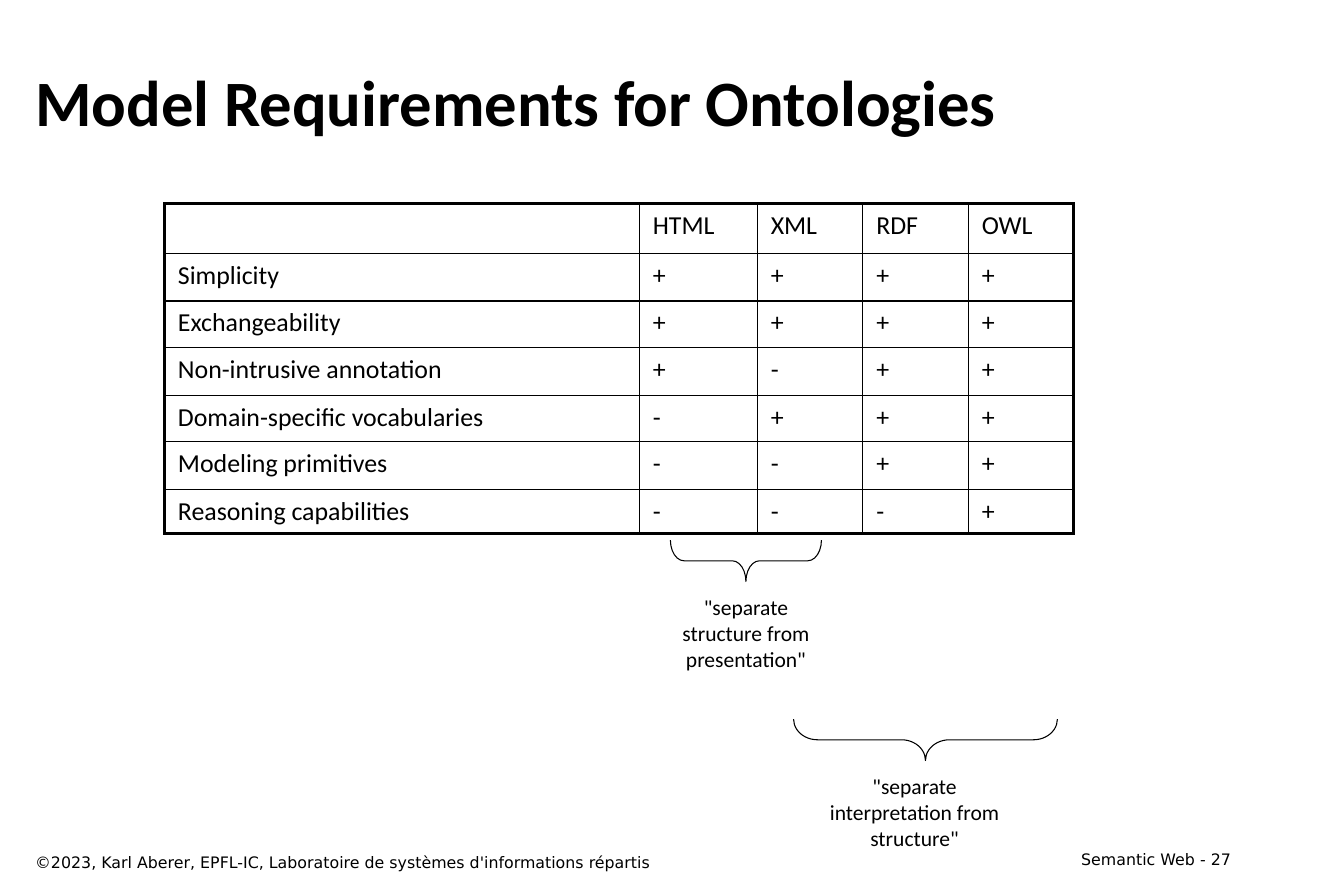
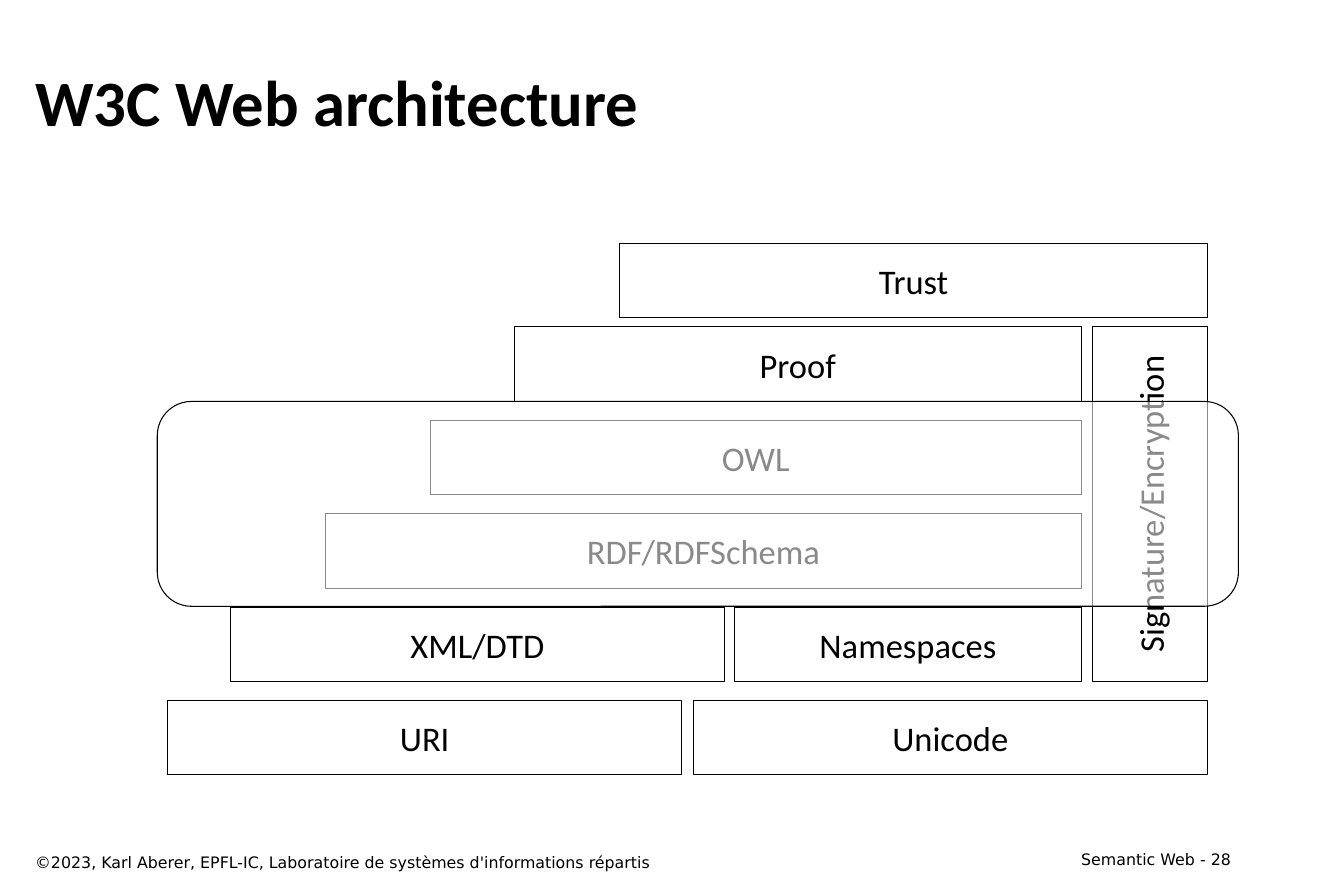
from dataclasses import dataclass

from lxml.etree import SubElement
from pptx import Presentation
from pptx.dml.color import RGBColor
from pptx.enum.shapes import MSO_SHAPE
from pptx.enum.text import MSO_ANCHOR, PP_ALIGN
from pptx.oxml.ns import qn
from pptx.util import Inches, Pt


@dataclass(frozen=True)
class Theme:
    ink: str = "000000"
    paper: str = "FFFFFF"
    panel_opacity: int = 54
    body_font: str = "Calibri"
    footer_font: str = "DejaVu Sans"
    title_size: int = 45
    block_size: int = 24
    table_size: int = 18
    note_size: int = 15
    footer_size: int = 11
    outline: float = 0.75
    inner_border: float = 1
    outer_border: float = 2.25


THEME = Theme()
INK = RGBColor.from_string(THEME.ink)
PAPER = RGBColor.from_string(THEME.paper)
COPYRIGHT = "©2023, Karl Aberer, EPFL-IC, Laboratoire de systèmes d'informations répartis"


def margins(horizontal, vertical):
    return {
        "margin_left": Inches(horizontal),
        "margin_right": Inches(horizontal),
        "margin_top": Inches(vertical),
        "margin_bottom": Inches(vertical),
    }


def apply_format(target, values):
    for name, value in values.items():
        setattr(target, name, value)


class Deck:
    def __init__(self, width, height):
        self.presentation = Presentation()
        self.presentation.slide_width = Inches(width)
        self.presentation.slide_height = Inches(height)
        self.slide = None

    def add_slide(self, title, number):
        self.slide = self.presentation.slides.add_slide(self.presentation.slide_layouts[6])
        footer = {"size": THEME.footer_size, "font": THEME.footer_font}
        self.text(f"Semantic Web - {number}", 9.31, 8.15, 2.71, 0.29,
                  alignment=PP_ALIGN.RIGHT, **footer)
        self.text(COPYRIGHT, 0.22, 8.18, 8.34, 0.29, **footer)
        self.text(title, 0.22, 0.39, 11.8, 1.16, size=THEME.title_size, bold=True,
                  frame_format={"vertical_anchor": MSO_ANCHOR.MIDDLE})

    def fill_text(self, frame, text, size, font=THEME.body_font, bold=False,
                  alignment=PP_ALIGN.LEFT):
        paragraph = frame.paragraphs[0]
        paragraph.text = text
        paragraph.alignment = alignment
        for run in paragraph.runs:
            apply_format(run.font, {"name": font, "size": Pt(size), "bold": bold})
            run.font.color.rgb = INK
        for line_break in paragraph._p.findall(qn("a:br")):
            SubElement(line_break, qn("a:rPr"), sz=str(size * 100))

    def text(self, text, left, top, width, height, frame_format=None, **style):
        shape = self.slide.shapes.add_textbox(
            Inches(left), Inches(top), Inches(width), Inches(height))
        apply_format(shape.text_frame, {
            "word_wrap": True, **margins(0.12, 0.06), **(frame_format or {})})
        self.fill_text(shape.text_frame, text, **style)

    def shape(self, kind, left, top, width, height, filled=True):
        shape = self.slide.shapes.add_shape(
            kind, Inches(left), Inches(top), Inches(width), Inches(height))
        shape.shadow.inherit = False
        shape.line.color.rgb = INK
        shape.line.width = Pt(THEME.outline)
        if filled:
            shape.fill.solid()
            shape.fill.fore_color.rgb = PAPER
        else:
            shape.fill.background()
        return shape

    def block(self, text, left, top, right, bottom, vertical=False):
        shape = self.shape(MSO_SHAPE.RECTANGLE, left, top, right - left, bottom - top)
        apply_format(shape.text_frame, {
            "word_wrap": True, "vertical_anchor": MSO_ANCHOR.MIDDLE, **margins(0.12, 0.06)})
        if vertical:
            shape.element.txBody.bodyPr.set("vert", "vert270")
        self.fill_text(shape.text_frame, text, THEME.block_size, alignment=PP_ALIGN.CENTER)

    def panel(self, left, top, width, height):
        shape = self.shape(MSO_SHAPE.ROUNDED_RECTANGLE, left, top, width, height)
        color = shape.element.spPr.find(qn("a:solidFill")).find(qn("a:srgbClr"))
        SubElement(color, qn("a:alpha"), val=str(THEME.panel_opacity * 1000))

    def brace(self, left, top, span, curve, depth=0.4):
        shape = self.shape(MSO_SHAPE.LEFT_BRACE, left + (span - depth) / 2,
                           top + (depth - span) / 2, depth, span, filled=False)
        shape.rotation = 270
        shape.adjustments[0] = curve

    def note(self, text, left, top, width, height):
        self.text(text, left, top, width, height, size=THEME.note_size,
                  alignment=PP_ALIGN.CENTER,
                  frame_format={"word_wrap": False, **margins(0.1, 0.05)})

    def table(self, rows, left, top, widths, heights):
        table = self.slide.shapes.add_table(
            len(heights), len(widths), Inches(left), Inches(top),
            Inches(sum(widths)), Inches(sum(heights))).table
        apply_format(table, {"first_row": False, "horz_banding": False})
        for column, width in zip(table.columns, widths):
            column.width = Inches(width)
        for row, height in zip(table.rows, heights):
            row.height = Inches(height)
        for row_index, values in enumerate(rows):
            for column_index, value in enumerate(values):
                cell = table.cell(row_index, column_index)
                apply_format(cell, margins(0.13, 0.06))
                self.borders(cell, {
                    "lnL": column_index == 0,
                    "lnR": column_index == len(widths) - 1,
                    "lnT": row_index == 0,
                    "lnB": row_index == len(heights) - 1,
                })
                cell.fill.background()
                if value:
                    self.fill_text(cell.text_frame, value, THEME.table_size)

    def borders(self, cell, outer_sides):
        properties = cell._tc.get_or_add_tcPr()
        for side, is_outer in outer_sides.items():
            width = THEME.outer_border if is_outer else THEME.inner_border
            line = SubElement(properties, qn(f"a:{side}"), w=str(int(Pt(width))))
            SubElement(SubElement(line, qn("a:solidFill")), qn("a:srgbClr"), val=THEME.ink)


def build_requirements(deck):
    deck.add_slide("Model Requirements for Ontologies", 27)
    ratings = {
        "Simplicity": "++++",
        "Exchangeability": "++++",
        "Non-intrusive annotation": "+-++",
        "Domain-specific vocabularies": "-+++",
        "Modeling primitives": "--++",
        "Reasoning capabilities": "---+",
    }
    rows = [["", "HTML", "XML", "RDF", "OWL"]]
    rows += [[requirement, *marks] for requirement, marks in ratings.items()]
    deck.table(rows, 1.59, 1.97, [4.59, 1.14, 1.02, 1.02, 1.02],
               [0.48, 0.46, 0.45, 0.46, 0.45, 0.46, 0.43])
    deck.brace(6.48, 5.22, 1.46, 0.33)
    deck.note('"separate\nstructure from\npresentation"', 6.49, 5.69, 1.44, 0.86)
    deck.brace(7.67, 6.95, 2.55, 0.58)
    deck.note('"separate\ninterpretation from\nstructure"', 7.91, 7.42, 1.86, 0.86)


def build_architecture(deck):
    deck.add_slide("W3C Web architecture", 28)
    block_height = 0.72
    stack_right, full_right = 10.45, 11.67
    trust_top, proof_top, base_top = 2.35, 3.16, 6.77
    step = (base_top - proof_top) / 4
    owl_top, rdf_top, xml_top = (proof_top + step * level for level in (1, 2, 3))
    blocks = [
        ("URI", 1.62, base_top, 6.59),
        ("Unicode", 6.7, base_top, full_right),
        ("XML/DTD", 2.23, xml_top, 7),
        ("Namespaces", 7.1, xml_top, stack_right),
        ("RDF/RDFSchema", 3.15, rdf_top, stack_right),
        ("OWL", 4.16, owl_top, stack_right),
        ("Proof", 4.97, proof_top, stack_right),
        ("Trust", 5.99, trust_top, full_right),
    ]
    for label, left, top, right in blocks:
        deck.block(label, left, top, right, top + block_height)
    deck.block("Signature/Encryption", 10.56, proof_top, full_right,
               xml_top + block_height, vertical=True)
    deck.panel(1.52, 3.88, 10.45, 1.98)


def main():
    deck = Deck(12.99, 8.66)
    build_requirements(deck)
    build_architecture(deck)
    deck.presentation.save("out.pptx")


if __name__ == "__main__":
    main()
